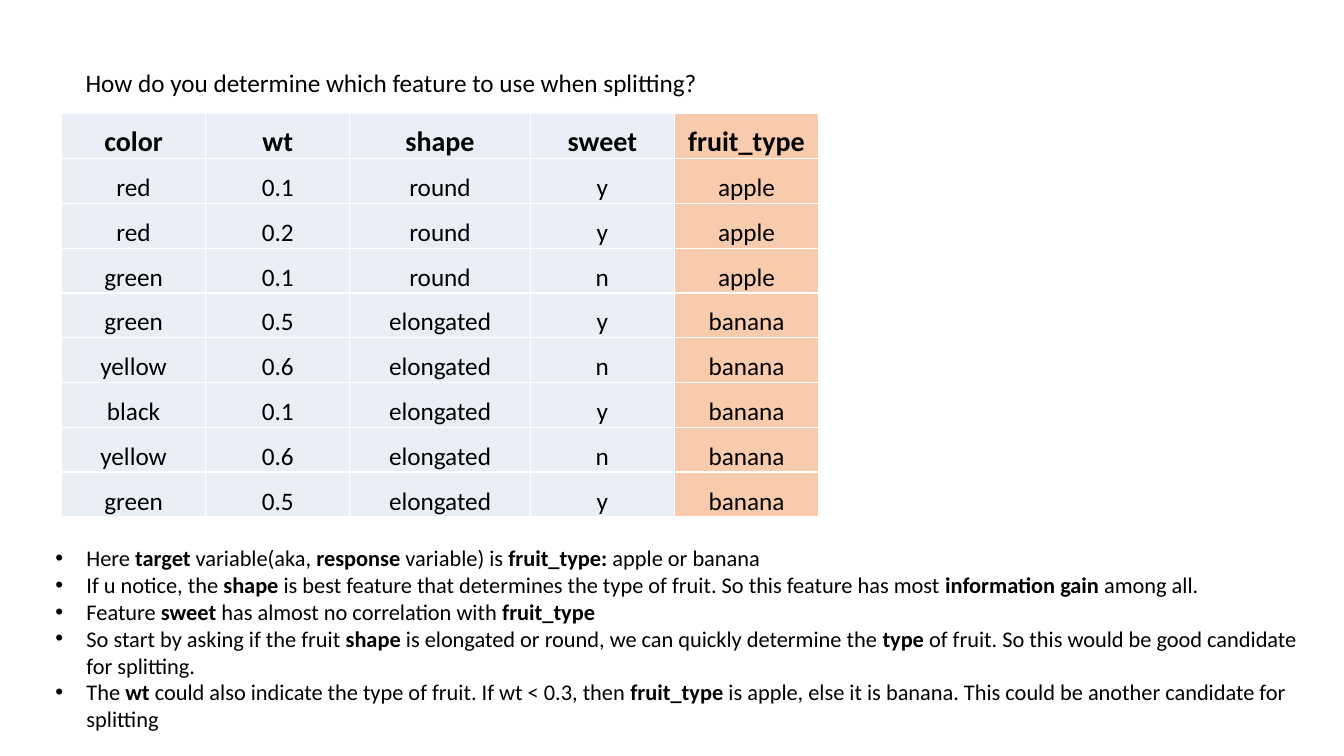
import pptx
import pptx.util
import pptx.dml.color
import pptx.enum.text
from lxml import etree
from pptx.oxml.ns import qn

Inches, Pt = pptx.util.Inches, pptx.util.Pt
ANCHOR, ALIGN = pptx.enum.text.MSO_ANCHOR, pptx.enum.text.PP_ALIGN
FIT = pptx.enum.text.MSO_AUTO_SIZE.SHAPE_TO_FIT_TEXT

QUESTION = "How do you determine which feature to use when splitting?"
FRUITS = [
    ("color", "wt", "shape", "sweet", "fruit_type"),
    ("red", "0.1", "round", "y", "apple"),
    ("red", "0.2", "round", "y", "apple"),
    ("green", "0.1", "round", "n", "apple"),
    ("green", "0.5", "elongated", "y", "banana"),
    ("yellow", "0.6", "elongated", "n", "banana"),
    ("black", "0.1", "elongated", "y", "banana"),
    ("yellow", "0.6", "elongated", "n", "banana"),
    ("green", "0.5", "elongated", "y", "banana"),
]
# Text between asterisks is bold.
NOTES = [
    "Here *target* variable(aka, *response* variable) is *fruit_type: *apple or banana",
    "If u notice, the *shape* is best feature that determines the type of fruit. "
    "So this feature has most *information gain* among all.",
    "Feature *sweet* has almost no correlation with *fruit_type*",
    "So start by asking if the fruit *shape *is elongated or round, we can quickly "
    "determine the *type* of fruit. So this would be good candidate for splitting.",
    "The *wt* could also indicate the type of fruit. If wt < 0.3, then *fruit_type* "
    "is apple, else it is banana. This could be another candidate for splitting",
]
COLUMN_WIDTHS = (1.43, 1.43, 1.79, 1.43, 1.43)
TABLE_LEFT, TABLE_TOP, TABLE_WIDTH, TABLE_HEIGHT = 0.61, 1.13, 7.53, 4
FEATURE_FILL, TARGET_FILL, GRID, INK = "EAEFF7", "F8CBAD", "FFFFFF", "000000"
NOTE_INDENT = 0.31


def color(value):
    return pptx.dml.color.RGBColor.from_string(value)


def write(p, text, size, bold=False):
    r = p.add_run()
    r.text = text
    for name, value in {"name": "Calibri", "size": Pt(size), "bold": bold}.items():
        setattr(r.font, name, value)
    r.font.color.rgb = color(INK)


def add_text(s, box, wrap):
    tf = s.shapes.add_textbox(*map(Inches, box)).text_frame
    tf.word_wrap = wrap
    tf.auto_size = FIT
    return tf


def add_borders(cell):
    tcPr = cell._tc.get_or_add_tcPr()
    for side in ("lnL", "lnR", "lnT", "lnB"):
        ln = etree.SubElement(tcPr, qn("a:" + side), w=str(Pt(1)))
        fill = etree.SubElement(ln, qn("a:solidFill"))
        etree.SubElement(fill, qn("a:srgbClr"), val=GRID)


def add_bullet(p):
    pPr = p._p.get_or_add_pPr()
    pPr.set("marL", str(Inches(NOTE_INDENT)))
    pPr.set("indent", str(-Inches(NOTE_INDENT)))
    etree.SubElement(pPr, qn("a:buFont"), typeface="Arial")
    etree.SubElement(pPr, qn("a:buChar"), char="•")


def add_fruit_table(s):
    box = map(Inches, (TABLE_LEFT, TABLE_TOP, TABLE_WIDTH, TABLE_HEIGHT))
    table = s.shapes.add_table(len(FRUITS), len(COLUMN_WIDTHS), *box).table
    table.first_row = table.horz_banding = False
    for column, width in zip(table.columns, COLUMN_WIDTHS):
        column.width = Inches(width)
    cell_format = {
        "vertical_anchor": ANCHOR.BOTTOM, "margin_left": Inches(0.01),
        "margin_right": Inches(0.01), "margin_top": Inches(0.01), "margin_bottom": 0,
    }
    for i, row in enumerate(FRUITS):
        for j, text in enumerate(row):
            cell = table.cell(i, j)
            for name, value in cell_format.items():
                setattr(cell, name, value)
            add_borders(cell)
            cell.fill.solid()
            is_target = j == len(row) - 1
            cell.fill.fore_color.rgb = color(TARGET_FILL if is_target else FEATURE_FILL)
            p = cell.text_frame.paragraphs[0]
            p.alignment = ALIGN.CENTER
            write(p, text, 20 if i == 0 else 18, bold=i == 0)


def add_notes(s):
    tf = add_text(s, (0.45, 5.35, 12.63, 1.99), wrap=True)
    for i, note in enumerate(NOTES):
        p = tf.add_paragraph() if i else tf.paragraphs[0]
        add_bullet(p)
        for k, part in enumerate(note.split("*")):
            if part:
                write(p, part, 16, bold=k % 2 == 1)


def main():
    prs = pptx.Presentation()
    prs.slide_width, prs.slide_height = Inches(13.33), Inches(7.5)
    s = prs.slides.add_slide(prs.slide_layouts[6])
    add_fruit_table(s)
    add_notes(s)
    question = add_text(s, (0.75, 0.62, 6.35, 0.4), wrap=False)
    write(question.paragraphs[0], QUESTION, 18)
    prs.save("out.pptx")


if __name__ == "__main__":
    main()
